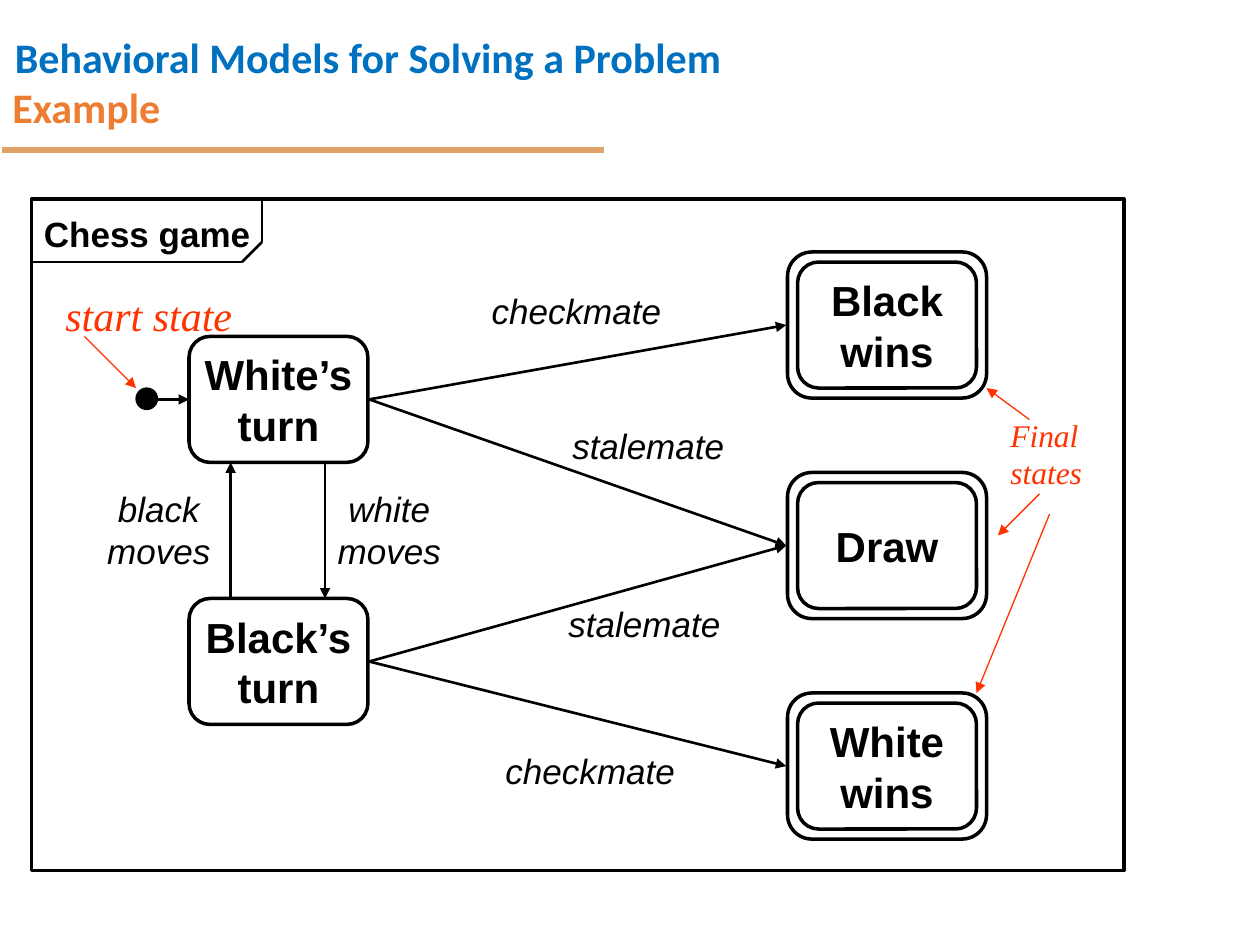
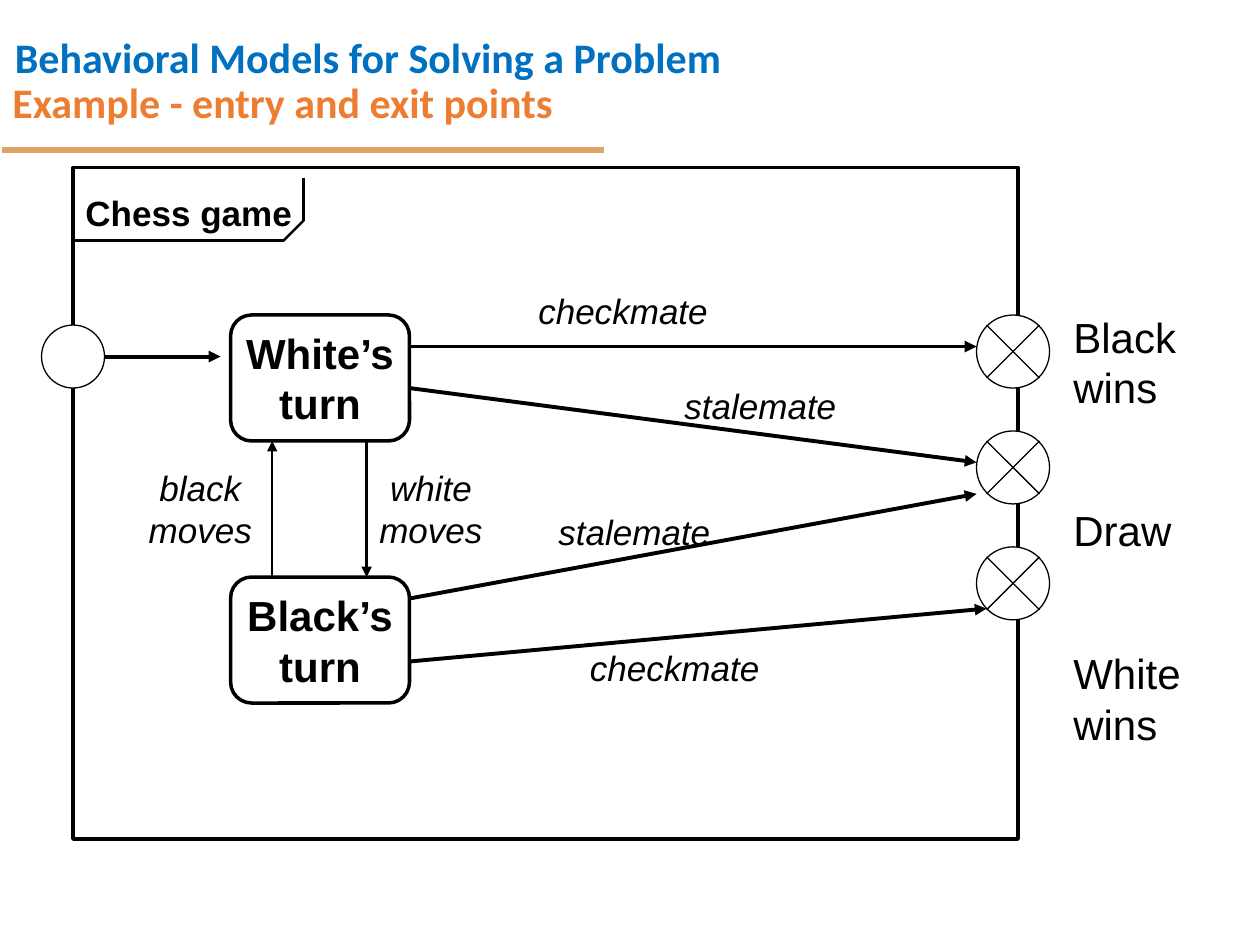
"""Build two slides with state diagrams of a chess game."""
from lxml.etree import SubElement
from pptx import Presentation
from pptx.dml.color import RGBColor
from pptx.enum.shapes import MSO_CONNECTOR as Link, MSO_SHAPE as Form
from pptx.enum.text import MSO_ANCHOR as Anchor, PP_ALIGN as Align
from pptx.oxml.ns import qn
from pptx.util import Inches, Pt

BLACK = RGBColor(0x00, 0x00, 0x00)
WHITE = RGBColor(0xFF, 0xFF, 0xFF)
BLUE = RGBColor(0x00, 0x70, 0xC0)
ORANGE = RGBColor(0xED, 0x7D, 0x31)
SAND = RGBColor(0xDF, 0xA2, 0x67)
RED = RGBColor(0xFF, 0x33, 0x00)
SANS, SERIF, HEAD = "Arial", "Times New Roman", "Calibri"
STATE_W, STATE_H = 1.42, 1


def fill_text(frame, lines, size, color=BLACK, name=SANS, bold=False,
              italic=False, align=Align.LEFT, space=None, gap=0):
    """Write one paragraph per line, all in one font."""
    for i, line in enumerate(lines):
        para = frame.paragraphs[0] if i == 0 else frame.add_paragraph()
        para.text = line
        para.alignment = align
        if space:
            para.line_spacing = space
        if i and gap:
            para.space_before = Pt(gap)
        font = para.font
        font.name, font.size, font.color.rgb = name, Pt(size), color
        font.bold, font.italic = bold, italic


def add_text(slide, box, lines, size, wrap=True, anchor=Anchor.TOP, **style):
    """Add a text box."""
    frame = slide.shapes.add_textbox(*map(Inches, box)).text_frame
    frame.word_wrap = wrap
    frame.vertical_anchor = anchor
    fill_text(frame, lines, size, **style)


def add_label(slide, x, y, width, *lines):
    """Add the centred italic label of a transition."""
    add_text(slide, (x, y, width, 0.1 + 0.33 * len(lines)), lines, 20,
             wrap=False, italic=True, align=Align.CENTER)


def add_line(slide, start, end, width=1.5, color=BLACK, arrow=False):
    """Draw a straight line, with an arrowhead at its end if asked."""
    link = slide.shapes.add_connector(
        Link.STRAIGHT, *map(Inches, (*start, *end)))
    link.line.color.rgb = color
    link.line.width = Pt(width)
    props = link._element.spPr
    if arrow:
        SubElement(props.find(qn("a:ln")), qn("a:tailEnd"), type="triangle")
    SubElement(props, qn("a:effectLst"))


def add_arrow(slide, start, end, width=1.5, color=BLACK):
    """Draw an arrow."""
    add_line(slide, start, end, width, color, True)


def add_form(slide, kind, box, width, fill=None):
    """Add a black outlined shape."""
    shape = slide.shapes.add_shape(kind, *map(Inches, box))
    shape.shadow.inherit = False
    if fill is None:
        shape.fill.background()
    else:
        shape.fill.solid()
        shape.fill.fore_color.rgb = fill
    shape.line.color.rgb = BLACK
    shape.line.width = Pt(width)
    return shape


def add_state(slide, x, y, *lines):
    """Add a rounded state with its name."""
    box = (x, y, STATE_W, STATE_H)
    frame = add_form(slide, Form.ROUNDED_RECTANGLE, box, 2).text_frame
    frame.word_wrap = False
    frame.vertical_anchor = Anchor.MIDDLE
    fill_text(frame, lines, 24, bold=True, align=Align.CENTER)


def add_final(slide, x, y, *lines):
    """Add a final state inside a second outline."""
    edge = 0.08
    add_state(slide, x + edge, y + edge, *lines)
    box = (x, y, STATE_W + 2 * edge, STATE_H + 2 * edge)
    add_form(slide, Form.ROUNDED_RECTANGLE, box, 2)


def add_turns(slide, x, y):
    """Add the two turn states and the moves between them."""
    low, high = y + 2.08, y + STATE_H
    add_state(slide, x, y, "White’s", "turn")
    add_state(slide, x, low, "Black’s", "turn")
    add_arrow(slide, (x + 1.08, high), (x + 1.08, low))
    add_arrow(slide, (x + 0.33, low), (x + 0.33, high))
    add_label(slide, x + 1.08, y + 1.15, 1.02, "white", "moves")
    add_label(slide, x - 0.75, y + 1.15, 1.02, "black", "moves")


def add_frame(slide, x, y, width, drop, depth):
    """Add the diagram frame with its name tab, set down by drop."""
    add_form(slide, Form.RECTANGLE, (x, y, width, 5.33), 2)
    top = y + drop
    right, cut, base = x + 1.83, top + 0.34, top + depth
    add_text(slide, (x, top + 0.06, 1.84, 0.43), ["Chess game"], 20,
             wrap=False, bold=True)
    add_line(slide, (right, top), (right, cut))
    add_line(slide, (x, base), (right - 0.16, base))
    add_line(slide, (right, cut), (right - 0.16, base))


def add_exit(slide, x, y):
    """Add a crossed circle for an exit point."""
    size, edge = 0.58, 0.08
    add_form(slide, Form.OVAL, (x, y, size, size), 0.75, WHITE)
    near, far = edge, size - edge
    add_line(slide, (x + near, y + near), (x + far, y + far), 0.75)
    add_line(slide, (x + far, y + near), (x + near, y + far), 0.75)


def add_head(deck, title, top, height):
    """Start a slide with the shared heading, rule and its own title."""
    slide = deck.slides.add_slide(deck.slide_layouts[6])
    add_text(slide, (0.02, 0, 7.4, 0.71),
             ["Behavioral Models for Solving a Problem"], 24,
             color=BLUE, name=HEAD, bold=True, space=1.5)
    add_line(slide, (0.02, 1.19), (4.79, 1.19), 3, SAND)
    add_text(slide, (0, top, 8.83, height), [title], 24, anchor=Anchor.MIDDLE,
             color=ORANGE, name=HEAD, bold=True, space=0.9)
    return slide


def add_notes(slide, x, y):
    """Add the red remarks on start and final states."""
    style = dict(color=RED, name=SERIF, italic=True)
    add_text(slide, (x, y, 2.25, 0.5), ["start state"], 24, **style)
    add_text(slide, (x + 7.5, y + 1, 0.92, 0.7), ["Final", "states"], 18,
             **style)
    for start, end in (((0.25, 0.42), (0.66, 0.83)),
                       ((7.75, 1.08), (7.41, 0.83)),
                       ((7.83, 1.67), (7.5, 2)),
                       ((7.91, 1.83), (7.33, 3.25))):
        add_arrow(slide, (x + start[0], y + start[1]),
                  (x + end[0], y + end[1]), 0.75, RED)


def build_states(deck):
    """Build the slide with start and final states."""
    slide = add_head(deck, "Example", 0.58, 0.58)
    add_turns(slide, 1.5, 2.67)
    add_form(slide, Form.OVAL, (1.08, 3.08, 0.17, 0.17), 0.75, BLACK)
    add_arrow(slide, (1.25, 3.17), (1.5, 3.17))
    ends = (["Black", "wins"], ["Draw"], ["White", "wins"])
    for i, lines in enumerate(ends):
        add_final(slide, 6.25, 2 + 1.75 * i, *lines)
    for start, end in ((3.17, 2.58), (3.17, 4.33), (5.25, 4.33), (5.25, 6.08)):
        add_arrow(slide, (2.93, start), (6.24, end))
    add_label(slide, 3.8, 2.25, 1.55, "checkmate")
    add_label(slide, 4.44, 3.32, 1.41, "stalemate")
    add_label(slide, 4.41, 4.73, 1.41, "stalemate")
    add_label(slide, 3.91, 5.9, 1.55, "checkmate")
    add_frame(slide, 0.25, 1.58, 8.67, 0, 0.5)
    add_notes(slide, 0.42, 2.25)


def build_points(deck):
    """Build the slide with entry and exit points."""
    slide = add_head(deck, "Example - entry and exit points", 0.5, 0.67)
    add_turns(slide, 1.83, 2.5)
    add_label(slide, 4.17, 2.25, 1.55, "checkmate")
    add_label(slide, 5.33, 3, 1.41, "stalemate")
    add_label(slide, 4.33, 4, 1.41, "stalemate")
    add_label(slide, 4.58, 5.08, 1.55, "checkmate")
    add_frame(slide, 0.58, 1.33, 7.5, 0.08, 0.5)
    add_form(slide, Form.OVAL, (0.33, 2.58, 0.5, 0.5), 0.75, WHITE)
    add_arrow(slide, (0.83, 2.83), (1.75, 2.83), 2.25)
    for i in range(3):
        add_exit(slide, 7.75, 2.5 + 0.92 * i)
    add_text(slide, (8.42, 2.42, 1.58, 3.56),
             ["Black wins", "Draw", "White wins"], 24, gap=53)
    for start, end in ((2.75, (7.75, 2.75)), (3.08, (7.75, 3.67)),
                       (4.75, (7.75, 3.92)), (5.25, (7.83, 4.83))):
        add_arrow(slide, (3.25, start), end, 2.25)


def main():
    """Build and save the deck."""
    deck = Presentation()
    deck.slide_width, deck.slide_height = Inches(10), Inches(7.5)
    build_states(deck)
    build_points(deck)
    deck.save("out.pptx")


if __name__ == "__main__":
    main()
